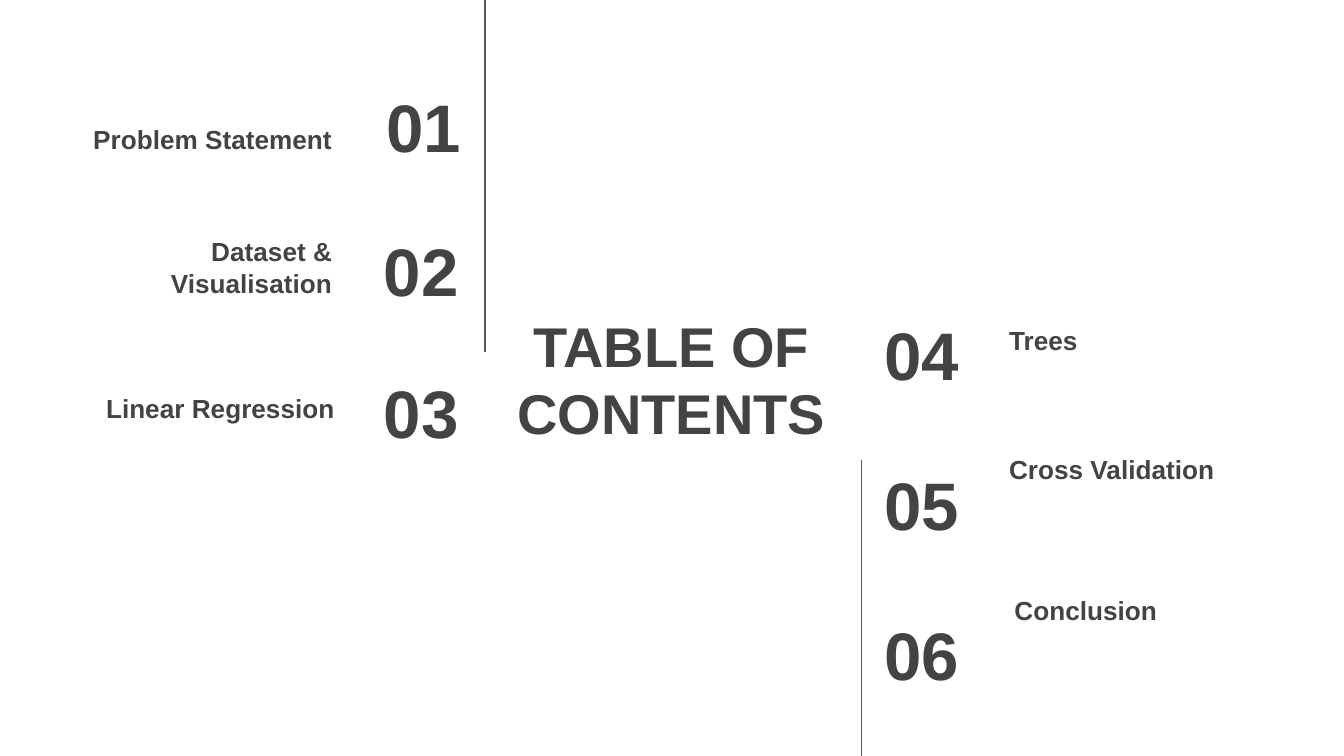
from typing import NamedTuple

from lxml.etree import SubElement
from pptx import Presentation
from pptx.dml.color import RGBColor
from pptx.enum.shapes import MSO_CONNECTOR
from pptx.enum.text import MSO_ANCHOR, MSO_AUTO_SIZE, PP_ALIGN
from pptx.oxml.ns import qn
from pptx.util import Inches, Pt

TEXT_COLOR = RGBColor(0x43, 0x43, 0x43)
LINE_COLOR = RGBColor(0x59, 0x59, 0x59)
SLIDE_WIDTH = 10
SLIDE_HEIGHT = SLIDE_WIDTH * 9 / 16
ROW_HEIGHT = 0.63


class Box(NamedTuple):
    left: float
    top: float
    width: float
    height: float = ROW_HEIGHT


class Entry(NamedTuple):
    number: str
    number_box: Box
    label: str
    label_box: Box
    alignment: PP_ALIGN


class Rule(NamedTuple):
    x: float
    top: float
    bottom: float


ENTRIES = [
    Entry("01", Box(2.32, 0.62, 1.21), "Problem Statement", Box(0.41, 0.62, 2.16), PP_ALIGN.RIGHT),
    Entry("02", Box(2.3, 1.69, 1.21), "Dataset & Visualisation", Box(0.41, 1.69, 2.16), PP_ALIGN.RIGHT),
    Entry("03", Box(2.3, 2.75, 1.21), "Linear Regression", Box(0.43, 2.62, 2.16), PP_ALIGN.RIGHT),
    Entry("04", Box(6.48, 2.32, 1.17), "Trees", Box(7.41, 2.12, 2.16), PP_ALIGN.LEFT),
    Entry("05", Box(6.48, 3.43, 1.17), "Cross Validation", Box(7.41, 3.08, 2.16), PP_ALIGN.LEFT),
    Entry("06", Box(6.48, 4.55, 1.17), "Conclusion", Box(7.45, 4.13, 2.16), PP_ALIGN.LEFT),
]
RULES = [Rule(3.61, 0, 2.62), Rule(6.41, 3.42, SLIDE_HEIGHT)]


def set_text(shape, text: str, size: float, alignment: PP_ALIGN, anchor: MSO_ANCHOR) -> None:
    frame = shape.text_frame
    frame.text = text
    margins = dict.fromkeys(
        ("margin_left", "margin_top", "margin_right", "margin_bottom"), Inches(0.1))
    frame_format = {"word_wrap": True, "auto_size": MSO_AUTO_SIZE.NONE,
                    "vertical_anchor": anchor, **margins}
    for name, value in frame_format.items():
        setattr(frame, name, value)
    paragraph = frame.paragraphs[0]
    paragraph.alignment = alignment
    font = paragraph.runs[0].font
    for name, value in {"name": "Arial", "size": Pt(size), "bold": True}.items():
        setattr(font, name, value)
    font.color.rgb = TEXT_COLOR


def add_text(slide, box: Box, text: str, size: float, alignment: PP_ALIGN, anchor: MSO_ANCHOR) -> None:
    shape = slide.shapes.add_textbox(*map(Inches, box))
    set_text(shape, text, size, alignment, anchor)


def add_title(slide, box: Box, text: str) -> None:
    title = slide.shapes.title
    for name, value in box._asdict().items():
        setattr(title, name, Inches(value))
    set_text(title, text, 30, PP_ALIGN.CENTER, MSO_ANCHOR.MIDDLE)


def add_entry(slide, entry: Entry) -> None:
    add_text(slide, entry.number_box, entry.number, 36, entry.alignment, MSO_ANCHOR.MIDDLE)
    add_text(slide, entry.label_box, entry.label, 14, entry.alignment, MSO_ANCHOR.BOTTOM)


def add_rule(slide, rule: Rule) -> None:
    connector = slide.shapes.add_connector(
        MSO_CONNECTOR.STRAIGHT,
        Inches(rule.x), Inches(rule.top), Inches(rule.x), Inches(rule.bottom))
    connector.line.color.rgb = LINE_COLOR
    connector.line.width = Pt(0.75)
    SubElement(connector._element.spPr, qn("a:effectLst"))


def main() -> None:
    presentation = Presentation()
    presentation.slide_width = Inches(SLIDE_WIDTH)
    presentation.slide_height = Inches(SLIDE_HEIGHT)
    slide = presentation.slides.add_slide(presentation.slide_layouts.get_by_name("Title Only"))

    add_title(slide, Box(3.7, 2.3, 2.59, 1.03), "TABLE OF CONTENTS")
    for entry in ENTRIES:
        add_entry(slide, entry)
    for rule in RULES:
        add_rule(slide, rule)

    presentation.save("out.pptx")


if __name__ == "__main__":
    main()
